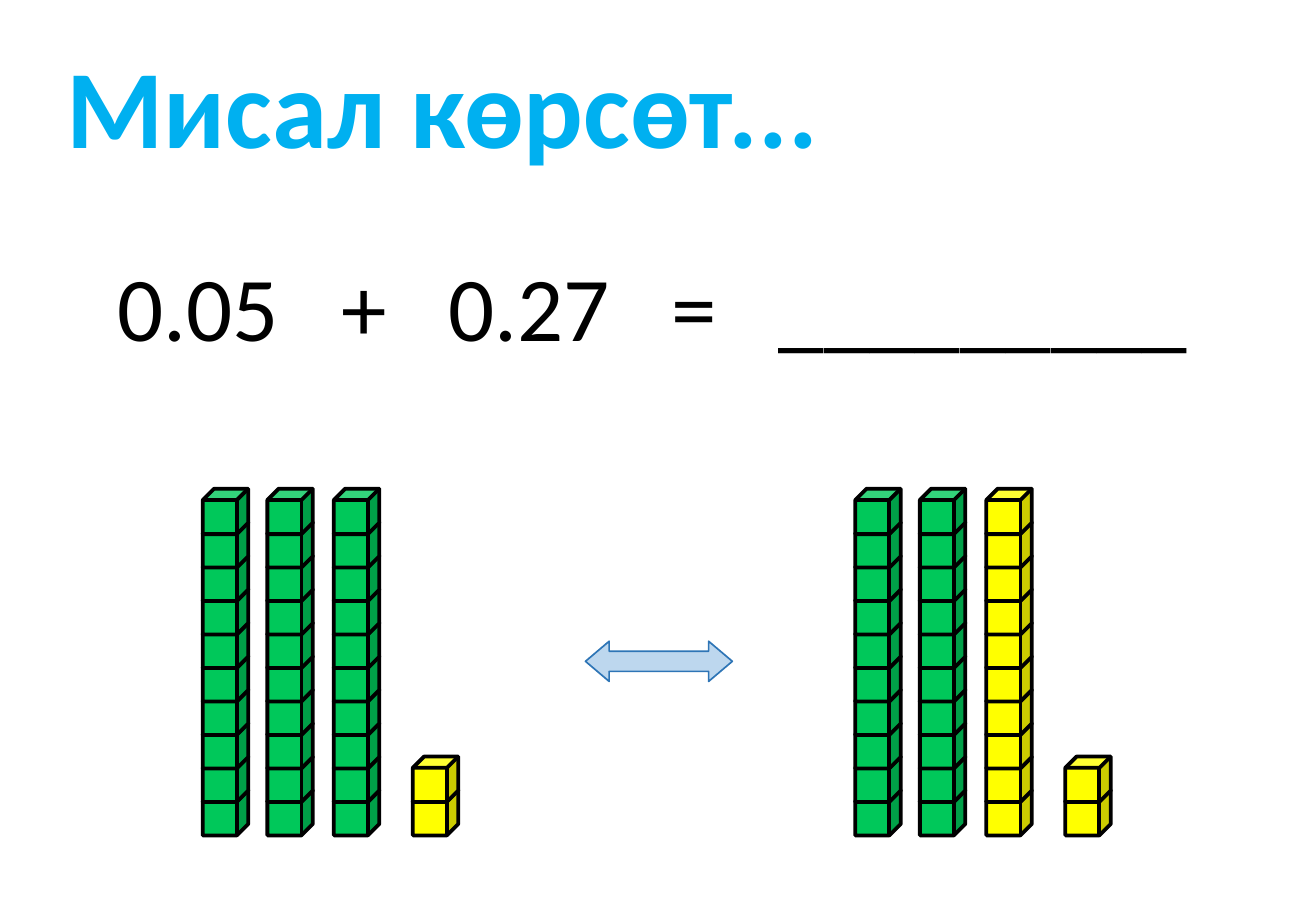
from collections import namedtuple
from dataclasses import dataclass

from lxml.etree import SubElement
from pptx import Presentation
from pptx.dml.color import RGBColor as Rgb
from pptx.enum.shapes import MSO_SHAPE as Preset
from pptx.enum.text import MSO_ANCHOR as Anchor
from pptx.oxml.ns import qn
from pptx.util import Cm, Pt

Box = namedtuple("Box", "left top width height")


@dataclass(frozen=True)
class Theme:
    """Colours, font and sizes of the slide."""
    ink: str = "000000"
    title: str = "00B0F0"
    tenths: str = "00C85A"
    hundredths: str = "FFFF00"
    arrow: str = "BDD7EE"
    arrow_edge: str = "2E75B6"
    font: str = "Calibri"
    title_size: float = 66
    sum_size: float = 54
    cube_line: float = 2.25
    arrow_line: float = 1


THEME = Theme()
CUBE = 0.95
CUBE_STEP = 0.7
COLUMN_OFFSETS = (0, 1.35, 2.74, 4.39)
SUM_TABS = (4.67, 6.91, 11.58, 13.82)


def apply_format(target, values):
    """Set each attribute of target from a dict."""
    for name, value in values.items():
        setattr(target, name, value)


def add_preset(shapes, preset, box, fill, edge, weight):
    """Add a filled and outlined preset shape."""
    figure = shapes.add_shape(preset, *map(Cm, box))
    figure.shadow.inherit = False
    figure.fill.solid()
    figure.fill.fore_color.rgb = Rgb.from_string(fill)
    figure.line.color.rgb = Rgb.from_string(edge)
    figure.line.width = Pt(weight)
    return figure


def add_line_of_text(slide, box, text, size, color, bold=False, inset=0.25, tabs=()):
    """Add one line of text with optional tab stops."""
    frame = slide.shapes.add_textbox(*map(Cm, box)).text_frame
    apply_format(frame, {"word_wrap": True, "margin_left": Cm(inset),
                         "vertical_anchor": Anchor.TOP})
    paragraph = frame.paragraphs[0]
    if tabs:
        stops = SubElement(paragraph._p.get_or_add_pPr(), qn("a:tabLst"))
        for tab in tabs:
            SubElement(stops, qn("a:tab"), pos=str(int(Cm(tab))), algn="l")
    run = paragraph.add_run()
    run.text = text
    apply_format(run.font, {"name": THEME.font, "size": Pt(size), "bold": bold})
    run.font.color.rgb = Rgb.from_string(color)


def add_title(slide, box):
    """Place the heading."""
    add_line_of_text(slide, box, "Мисал көрсөт...", THEME.title_size,
                     THEME.title, bold=True, inset=0.78)


def add_sum(slide, box):
    """Place the addition with its blank answer line."""
    add_line_of_text(slide, box, "0.05\t+\t0.27\t=\t_________", THEME.sum_size,
                     THEME.ink, tabs=SUM_TABS)


def add_cube_set(slide, box, columns):
    """Stack cubes from the floor of the box, one group per column."""
    floor = box.top + box.height - CUBE
    for offset, (count, color) in zip(COLUMN_OFFSETS, columns):
        stack = slide.shapes.add_group_shape().shapes
        for level in range(count):
            place = Box(box.left + offset, floor - level * CUBE_STEP, CUBE, CUBE)
            add_preset(stack, Preset.CUBE, place, color, THEME.ink, THEME.cube_line)


def add_exchange_arrow(slide, box):
    """Place the arrow between the two cube sets."""
    arrow = add_preset(slide.shapes, Preset.LEFT_RIGHT_ARROW, box, THEME.arrow,
                       THEME.arrow_edge, THEME.arrow_line)
    arrow.adjustments[0] = 0.5
    arrow.adjustments[1] = 0.59


def main():
    """Build and save the slide."""
    deck = Presentation()
    apply_format(deck, {"slide_width": Cm(27.51), "slide_height": Cm(19.05)})
    slide = deck.slides.add_slide(deck.slide_layouts[6])
    tenth_rod = (10, THEME.tenths)
    hundredth_rod = (10, THEME.hundredths)
    loose_cubes = (2, THEME.hundredths)
    add_sum(slide, Box(2.21, 5.11, 23.11, 2.57))
    add_cube_set(slide, Box(4.24, 10.22, 5.34, 7.25),
                 [tenth_rod, tenth_rod, tenth_rod, loose_cubes])
    add_cube_set(slide, Box(17.88, 10.22, 5.34, 7.25),
                 [tenth_rod, tenth_rod, hundredth_rod, loose_cubes])
    add_exchange_arrow(slide, Box(12.24, 13.41, 3.07, 0.84))
    add_title(slide, Box(0.61, 0.66, 19.15, 3.07))
    deck.save("out.pptx")


if __name__ == "__main__":
    main()
